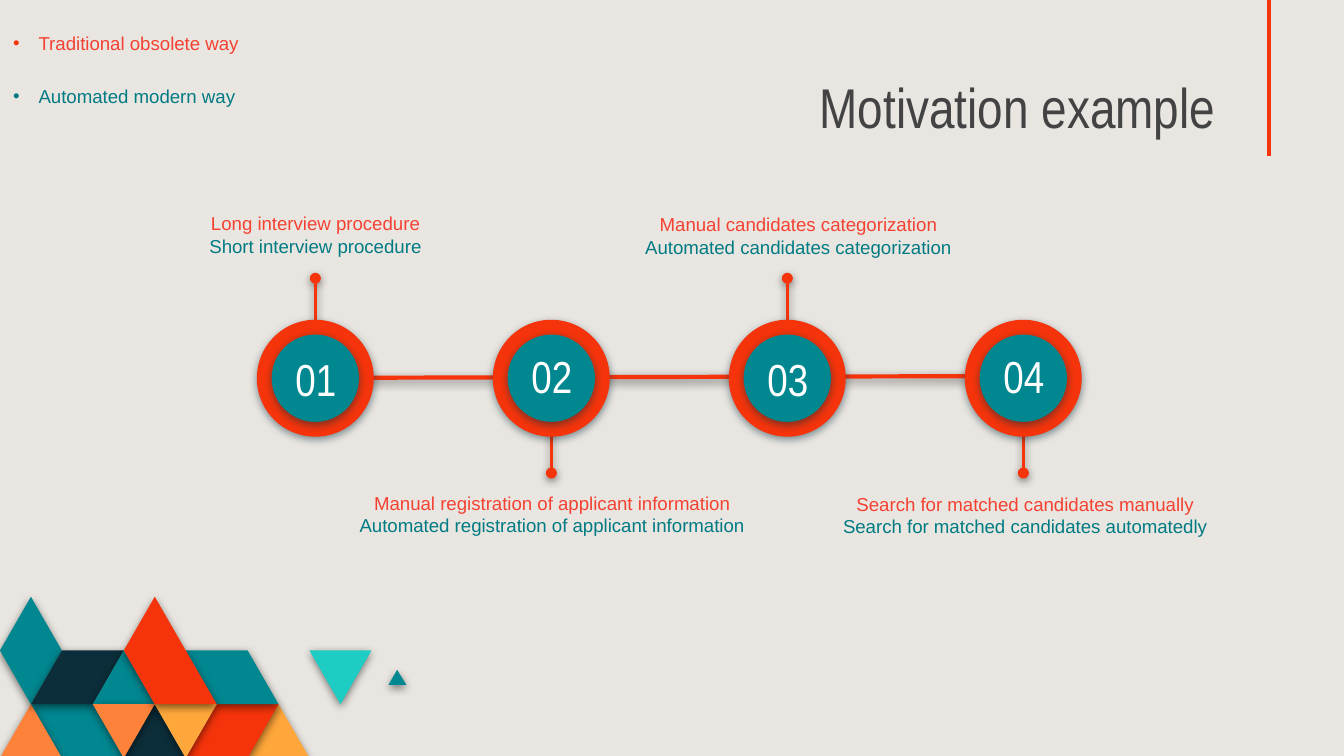
from lxml.etree import SubElement
from pptx import Presentation
from pptx.dml.color import RGBColor
from pptx.enum.shapes import MSO_CONNECTOR, MSO_SHAPE
from pptx.enum.text import MSO_ANCHOR as Anchor, PP_ALIGN as Align
from pptx.oxml.ns import qn
from pptx.util import Cm, Pt

rgb = RGBColor.from_string
RED, TEAL, NAVY = "F5340B", "018790", "0C2E3A"
ORANGE, YELLOW, AQUA = "FF823B", "FFA73B", "1DCDC3"
OLD_WAY, NEW_WAY = "F54132", "017B83"


def set_shadow(shape, color=None):
    """Give the shape a soft shadow below it, or none without a colour."""
    effects = SubElement(shape._element.spPr, qn("a:effectLst"))
    if color:
        outer = SubElement(effects, qn("a:outerShdw"), blurRad=str(Pt(4.5)),
                           dist=str(Pt(1.5)), dir="5400000", algn="bl", rotWithShape="0")
        tint = SubElement(outer, qn("a:srgbClr"), val=color)
        SubElement(tint, qn("a:alpha"), val="50000")


def add_text(left, top, width, height, anchor=Anchor.TOP):
    frame = slide.shapes.add_textbox(Cm(left), Cm(top), Cm(width), Cm(height)).text_frame
    frame.word_wrap = True
    frame.vertical_anchor = anchor
    frame.margin_left = frame.margin_right = Cm(0.25)
    frame.margin_top = frame.margin_bottom = Cm(0.25)
    return frame


prs = Presentation()
prs.slide_width, prs.slide_height = Cm(25.4), Cm(14.29)
slide = prs.slides.add_slide(prs.slide_layouts[5])
slide.background.fill.solid()
slide.background.fill.fore_color.rgb = rgb("E9E6E1")

# Mosaic: corners in half triangle sides across and triangle rows down
mosaic_top, half_side, row_height = 11.28, 0.585, 1.016
mosaic = [
    (YELLOW, [(10, 3), (9, 2), (8, 3)]),
    (RED, [(9, 2), (7, 2), (6, 3), (8, 3)]),
    (TEAL, [(4, 3), (3, 2), (1, 2), (2, 3)]),
    (ORANGE, [(2, 3), (1, 2), (0, 3)]),
    (NAVY, [(6, 3), (5, 2), (4, 3)]),
    (TEAL, [(9, 2), (8, 1), (6, 1), (7, 2)]),
    (TEAL, [(13.13, 1.64), (12.83, 1.36), (12.55, 1.64)]),
    (AQUA, [(12, 1), (10, 1), (11, 2)]),
    (TEAL, [(2, 1), (1, 0), (0, 1), (1, 2)]),
    (NAVY, [(4, 1), (2, 1), (1, 2), (3, 2)]),
    (TEAL, [(5, 2), (4, 1), (3, 2)]),
    (ORANGE, [(5, 2), (3, 2), (4, 3)]),
    (YELLOW, [(7, 2), (5, 2), (6, 3)]),
    (RED, [(7, 2), (5, 0), (4, 1), (5, 2)]),
]
for color, corners in mosaic:
    points = [(Cm(x * half_side), Cm(mosaic_top + y * row_height)) for x, y in corners]
    outline = slide.shapes.build_freeform(*points[0])
    outline.add_line_segments(points[1:])
    tile = outline.convert_to_shape()
    tile.fill.solid()
    tile.fill.fore_color.rgb = rgb(color)
    tile.line.fill.background()
    set_shadow(tile, "000000")

title = slide.shapes.title
title.left, title.top, title.width, title.height = Cm(0.74), Cm(1.3), Cm(22.48), Cm(1.6)
heading = title.text_frame
heading.text = "Motivation example"
heading.vertical_anchor = Anchor.BOTTOM
heading.margin_left = heading.margin_right = Cm(0.25)
heading.margin_top = heading.margin_bottom = Cm(0.25)
paragraph = heading.paragraphs[0]
paragraph.alignment = Align.RIGHT
paragraph.font.size, paragraph.font.name = Pt(30), "Arial Narrow"
paragraph.font.color.rgb = rgb("434343")

# Timeline: steps 1 and 3 point up, steps 2 and 4 point down
center_y, ring_size, disc_size = 7.15, 2.21, 1.65
step_centers = [5.96 + 4.46 * i for i in range(4)]
lines = [
    (23.98, 0, 23.98, 2.95, 2.25, False, None),
    (6.96, 7.14, 18.34, 7.11, 2.25, False, "000000"),
]
for i, x in enumerate(step_centers):
    start, end = (7.98, 8.94) if i % 2 else (6.32, 5.26)
    lines.append((x, start, x, end, 1.5, True, "000000"))

for x1, y1, x2, y2, weight, dotted, shadow in lines:
    connector = slide.shapes.add_connector(
        MSO_CONNECTOR.STRAIGHT, Cm(x1), Cm(y1), Cm(x2), Cm(y2))
    connector.line.color.rgb = rgb(RED)
    connector.line.width = Pt(weight)
    if dotted:
        SubElement(connector._element.spPr.find(qn("a:ln")), qn("a:tailEnd"), type="oval")
    set_shadow(connector, shadow)

for i, x in enumerate(step_centers):
    for size, color in ((ring_size, RED), (disc_size, TEAL)):
        circle = slide.shapes.add_shape(
            MSO_SHAPE.OVAL, Cm(x - size / 2), Cm(center_y - size / 2), Cm(size), Cm(size))
        circle.fill.solid()
        circle.fill.fore_color.rgb = rgb(color)
        circle.line.fill.background()
        set_shadow(circle, NAVY)
    number = add_text(x - 0.98, 6.48 if i % 2 else 6.53, 1.98, 1.24, Anchor.MIDDLE)
    paragraph = number.paragraphs[0]
    paragraph.text = f"{i + 1:02}"
    paragraph.alignment = Align.CENTER
    paragraph.font.size, paragraph.font.name = Pt(24), "Arial Narrow"
    paragraph.font.color.rgb = rgb("FFFFFF")

captions = [
    (3.1, 3.76, 5.72, "Long interview procedure", "Short interview procedure"),
    (5.97, 9.04, 8.92, "Manual registration of applicant information",
     "Automated registration of applicant information"),
    (11.53, 3.78, 7.11, "Manual candidates categorization",
     "Automated candidates categorization"),
    (15.27, 9.06, 8.2, "Search for matched candidates manually",
     "Search for matched candidates automatedly"),
]
for left, top, width, old, new in captions:
    paragraph = add_text(left, top, width, 1.17).paragraphs[0]
    paragraph.alignment = Align.CENTER
    paragraph.font.size, paragraph.font.name = Pt(10), "Arial"
    old_run = paragraph.add_run()
    old_run.text, old_run.font.color.rgb = old, rgb(OLD_WAY)
    paragraph.add_line_break()
    new_run = paragraph.add_run()
    new_run.text, new_run.font.color.rgb = new, rgb(NEW_WAY)

legend = add_text(0, 0.36, 5.72, 1.91)
legend_entries = [("Traditional obsolete way", OLD_WAY, RED),
                  ("Automated modern way", NEW_WAY, NEW_WAY)]
for i, (label, color, bullet_color) in enumerate(legend_entries):
    paragraph = legend.add_paragraph() if i else legend.paragraphs[0]
    paragraph.text = label
    paragraph.space_after = Pt(16)
    props = paragraph._p.get_or_add_pPr()
    props.set("marL", str(Cm(0.48)))
    props.set("indent", str(-Cm(0.48)))
    SubElement(SubElement(props, qn("a:buClr")), qn("a:srgbClr"), val=bullet_color)
    SubElement(props, qn("a:buFont"), typeface="Arial")
    SubElement(props, qn("a:buChar"), char="•")
    paragraph.font.size, paragraph.font.name = Pt(10), "Arial"
    paragraph.font.color.rgb = rgb(color)

prs.save("out.pptx")
